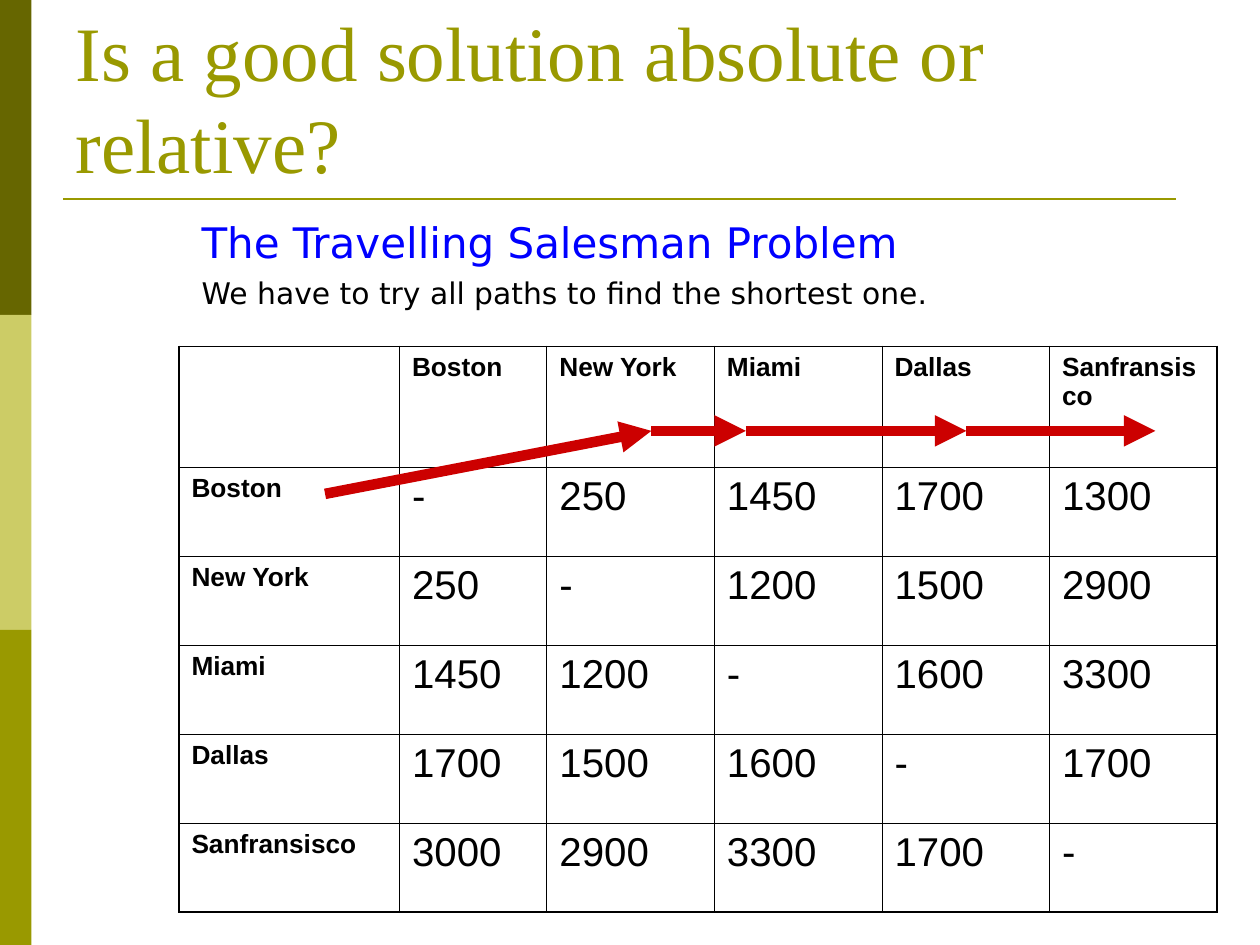
from itertools import pairwise

from lxml.etree import SubElement
from pptx import Presentation
from pptx.dml.color import RGBColor
from pptx.enum.shapes import MSO_CONNECTOR, MSO_SHAPE
from pptx.enum.text import MSO_ANCHOR, MSO_AUTO_SIZE, PP_ALIGN
from pptx.oxml.ns import qn
from pptx.util import Inches, Pt

DARK_OLIVE = RGBColor(0x66, 0x66, 0x00)
PALE_OLIVE = RGBColor(0xCC, 0xCC, 0x66)
OLIVE = RGBColor(0x99, 0x99, 0x00)
BLUE = RGBColor(0x00, 0x00, 0xFF)
RED = RGBColor(0xCC, 0x00, 0x00)
BLACK = RGBColor(0x00, 0x00, 0x00)

CITIES = ["Boston", "New York", "Miami", "Dallas", "Sanfransisco"]
DISTANCES = [
    ["-", "250", "1450", "1700", "1300"],
    ["250", "-", "1200", "1500", "2900"],
    ["1450", "1200", "-", "1600", "3300"],
    ["1700", "1500", "1600", "-", "1700"],
    ["3000", "2900", "3300", "1700", "-"],
]
COL_WIDTHS = [1.75, 1.17] + [1.33] * 4
ROW_HEIGHTS = [0.96] + [0.706] * 5
ROUTE = [(2.58, 3.92), (5.17, 3.42), (5.92, 3.42), (7.67, 3.42), (9.17, 3.42)]


def place(shape, x, y, w, h):
    shape.left, shape.top = Inches(x), Inches(y)
    shape.width, shape.height = Inches(w), Inches(h)


def add_run(p, text, font, size, color, bold=False):
    r = p.add_run()
    r.text = text
    r.font.name, r.font.size, r.font.bold = font, Pt(size), bold
    r.font.color.rgb = color


def add_line(shapes, start, end, color, width):
    line = shapes.add_connector(
        MSO_CONNECTOR.STRAIGHT, *(Inches(v) for v in (*start, *end)))
    line.line.color.rgb = color
    line.line.width = Pt(width)
    SubElement(line._element.spPr, qn("a:effectLst"))
    return line


def add_side_bar(s, x, y, w, h):
    colors = [DARK_OLIVE, PALE_OLIVE, OLIVE]
    band_h = h / len(colors)
    for i, color in enumerate(colors):
        band = s.shapes.add_shape(
            MSO_SHAPE.RECTANGLE, Inches(x), Inches(y + i * band_h),
            Inches(w), Inches(band_h))
        band.shadow.inherit = False
        band.fill.solid()
        band.fill.fore_color.rgb = color
        band.line.fill.background()


def add_title(s, x, y, w, h):
    title = s.shapes.title
    place(title, x, y, w, h)
    tf = title.text_frame
    tf.word_wrap, tf.auto_size = True, MSO_AUTO_SIZE.NONE
    tf.vertical_anchor = MSO_ANCHOR.BOTTOM
    p = tf.paragraphs[0]
    p.alignment = PP_ALIGN.LEFT
    add_run(p, "Is a good solution absolute or relative?",
            "Times New Roman", 44, OLIVE)
    # Rule under the title
    rule_y = y + h + 0.03
    add_line(s.shapes, (x, rule_y), (x + 8.83, rule_y), OLIVE, 1.5)


def add_body(s, x, y, w, h):
    body = s.placeholders[1]
    place(body, x, y, w, h)
    tf = body.text_frame
    tf.word_wrap, tf.auto_size = True, MSO_AUTO_SIZE.NONE
    lines = [
        ("The Travelling Salesman Problem", 24, BLUE, 0),
        ("We have to try all paths to find the shortest one.", 17, BLACK, 4.2),
    ]
    for i, (text, size, color, space) in enumerate(lines):
        p = tf.add_paragraph() if i else tf.paragraphs[0]
        pPr = p._p.get_or_add_pPr()
        pPr.set("marL", str(Inches(0.38)))
        pPr.set("indent", str(Inches(-0.38)))
        SubElement(pPr, qn("a:buNone"))
        p.space_before = Pt(space)
        add_run(p, text, "DejaVu Sans", size, color)


def set_borders(cell, widths):
    tcPr = cell._tc.get_or_add_tcPr()
    for side, width in widths.items():
        ln = SubElement(tcPr, qn(f"a:ln{side}"), w=str(Pt(width)))
        fill = SubElement(ln, qn("a:solidFill"))
        SubElement(fill, qn("a:srgbClr"), val=str(BLACK))


def add_distance_table(s, x, y, w, h):
    rows = [[""] + CITIES]
    rows += [[city] + values for city, values in zip(CITIES, DISTANCES)]
    last = len(rows) - 1
    table = s.shapes.add_table(
        len(rows), len(rows[0]), Inches(x), Inches(y), Inches(w), Inches(h)).table
    table.first_row = table.horz_banding = False
    for col, width in zip(table.columns, COL_WIDTHS):
        col.width = Inches(width)
    for row, height in zip(table.rows, ROW_HEIGHTS):
        row.height = Inches(height)
    for i, row in enumerate(rows):
        for j, text in enumerate(row):
            cell = table.cell(i, j)
            # Heavier frame around the outside
            outer = {"L": j == 0, "R": j == last, "T": i == 0, "B": i == last}
            set_borders(cell, {k: 1.08 if v else 0.45 for k, v in outer.items()})
            cell.fill.background()
            if text:
                header = i == 0 or j == 0
                add_run(cell.text_frame.paragraphs[0], text, "Arial",
                        15 if header else 23, BLACK, header)


def add_route(s, points):
    group = s.shapes.add_group_shape()
    for start, end in pairwise(points):
        arrow = add_line(group.shapes, start, end, RED, 6)
        SubElement(arrow.line._get_or_add_ln(), qn("a:tailEnd"), type="triangle")


def main():
    prs = Presentation()
    prs.slide_width, prs.slide_height = Inches(10), Inches(7.5)
    s = prs.slides.add_slide(prs.slide_layouts[1])
    add_side_bar(s, 0, 0, 0.25, 7.5)
    add_title(s, 0.5, 0.3, 9, 1.25)
    add_body(s, 1.5, 1.67, 7.25, 0.92)
    add_distance_table(s, 1.42, 2.75, 8.25, 4.49)
    add_route(s, ROUTE)
    prs.save("out.pptx")


if __name__ == "__main__":
    main()
